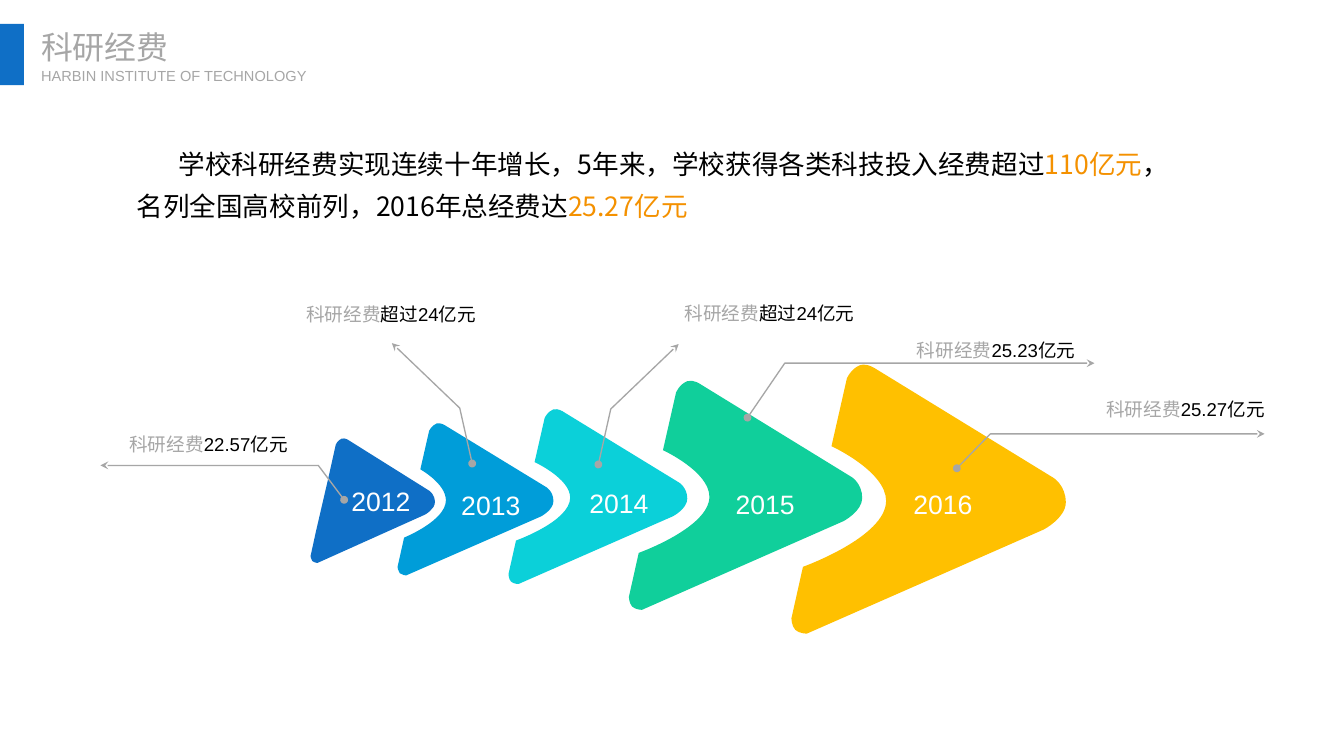
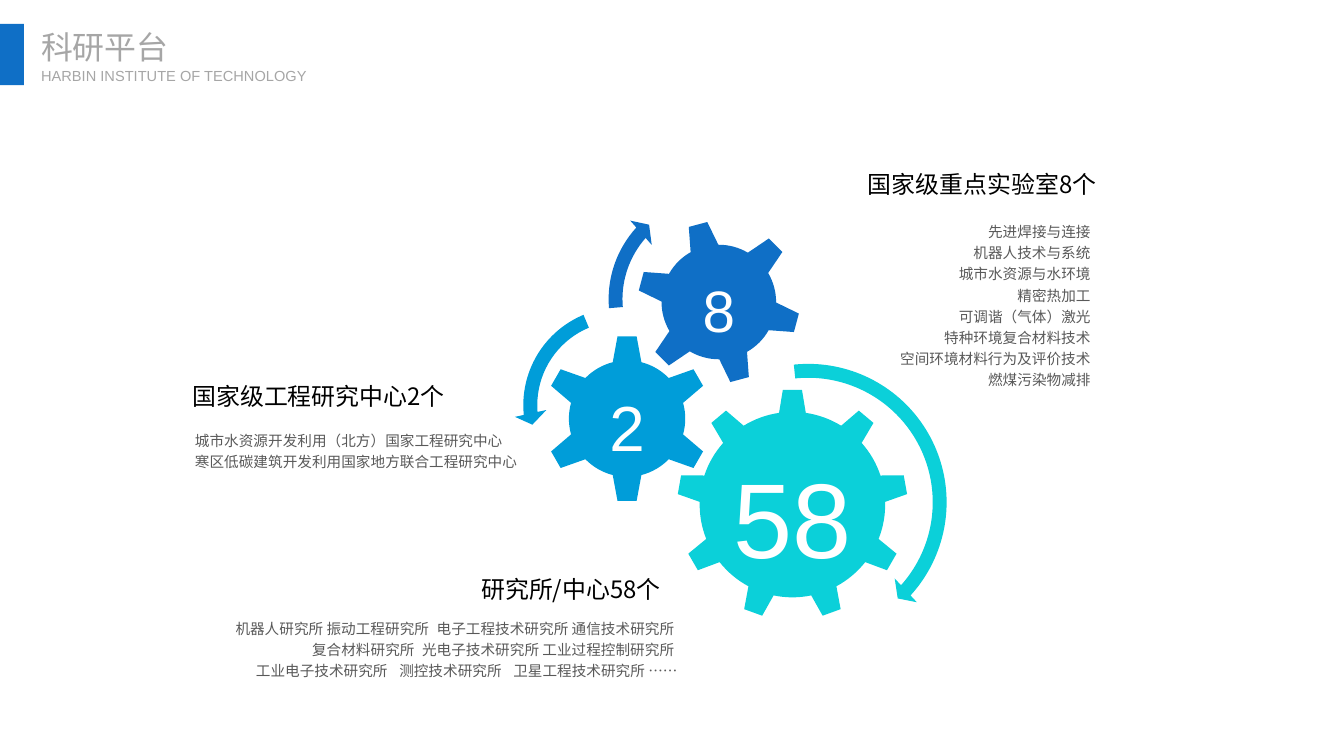
import math

import pptx
import pptx.dml.color
import pptx.enum.shapes
import pptx.enum.text
import pptx.oxml.ns
import pptx.util
from lxml import etree

Inches = pptx.util.Inches
Pt = pptx.util.Pt
qn = pptx.oxml.ns.qn
SHAPE = pptx.enum.shapes.MSO_SHAPE
ALIGN = pptx.enum.text.PP_ALIGN
ANCHOR = pptx.enum.text.MSO_ANCHOR

WIDTH, HEIGHT = 14.06, 7.91
SANS, CJK = "Arial", "Noto Sans CJK SC"
COLORS = {
    "blue": "0F6FC6", "sky": "009DD9", "cyan": "0BD0D9", "green": "10CF9B",
    "gold": "FFC000", "orange": "F49100", "gray": "A6A6A6",
    "body": "595959", "black": "000000", "white": "FFFFFF",
}
SUBTITLE = "HARBIN INSTITUTE OF TECHNOLOGY"

FUNDING_TITLE = "科研经费"
FUNDING_INTRO = [
    ("学校科研经费实现连续十年增长，5年来，学校获得各类科技投入经费超过", "black"),
    ("110亿元", "orange"),
    ("，名列全国高校前列，2016年总经费达", "black"),
    ("25.27亿元", "orange"),
]
# Each year: colour, chevron box, notch depth in percent, year position,
# amount, label's left, top and width, leader points from dot to arrow tip
FUNDING = [
    ("2012", "blue", (3.25, 4.58, 1.3, 1.31), 0, (3.46, 5.01), "22.57亿元",
     (0.92, 4.43, 2.09), [(3.6, 5.23), (3.33, 4.87), (1.05, 4.87)]),
    ("2013", "sky", (4.16, 4.42, 1.63, 1.6), 31, (4.61, 5.05), "超过24亿元",
     (2.87, 3.07, 2.11), [(4.94, 4.85), (4.81, 4.27), (4.1, 3.59)]),
    ("2014", "cyan", (5.32, 4.27, 1.87, 1.84), 34.5, (5.95, 5.03), "超过24亿元",
     (6.72, 3.06, 2.22), [(6.26, 4.86), (6.39, 4.28), (7.1, 3.6)]),
    ("2015", "green", (6.58, 3.97, 2.44, 2.41), 34.5, (7.48, 5.04), "25.23亿元",
     (9.14, 3.44, 2.11), [(7.82, 4.37), (8.21, 3.8), (11.45, 3.8)]),
    ("2016", "gold", (8.28, 3.8, 2.87, 2.83), 34.5, (9.34, 5.04), "25.27亿元",
     (11.02, 4.06, 2.21), [(10.01, 4.9), (10.36, 4.54), (13.23, 4.54)]),
]
# Chevron outline in percent of its box: a point is a straight side,
# three points are a curve's two handles and its end
TIP_AND_FOOT = [
    (100, 51.5),
    ((100, 57.2), (92, 61.5), (92, 61.5)),
    (5.6, 100),
    ((5.6, 100), (2.8, 100), (1.4, 98.6)),
    ((0, 97.2), (0, 94.3), (0, 94.3)),
    (4.2, 75.3),
]
TOP_SIDE = [
    (20.2, 5.7),
    ((20.2, 5.7), (21.6, 2.1), (25.1, 0.7)),
    ((27.9, 0), (30.7, 2.1), (30.7, 2.1)),
    (95.5, 42.4),
    ((95.5, 42.4), (100, 45.2), (100, 51.5)),
]

PLATFORM_TITLE = "科研平台"
# Each gear: number, size, colour, centre, teeth, first tooth's angle,
# tip (half width, radius) and base (half width, radius)
GEARS = [
    ("58", 80, "cyan", (8.29, 5.28), 9, 0, (0.1, 1.2), (0.14, 0.96)),
    ("2", 48, "sky", (6.56, 4.38), 6, 0, (0.1, 0.86), (0.15, 0.59)),
    ("8", 44, "blue", (7.52, 3.16), 6, -15, (0.1, 0.84), (0.15, 0.58)),
]
# Each arrow: preset, colour, left, top, size, thickness and head in percent,
# head / end / start angles in degrees
ARROWS = [
    (SHAPE.CIRCULAR_ARROW, "cyan", (6.91, 3.71, 3.09), (4.7, 5.5), (4.98, 42.09, 264.03)),
    (SHAPE.LEFT_CIRCULAR_ARROW, "sky", (5.38, 3.12, 2.24), (6.5, 7.5), (7.17, 174.82, 247.3)),
    (SHAPE.CIRCULAR_ARROW, "blue", (6.27, 1.92, 2.42), (6, 7), (6.57, 221.9, 175.14)),
]
# Each group: heading, its box and alignment, then lines, their box and alignment.
# A line is a list of (text, width of the gap after it in spaces)
PLATFORMS = [
    ("国家级重点实验室8个", (9.08, 1.77, 2.99, 0.3), ALIGN.LEFT,
     [[(name, 0)] for name in (
         "先进焊接与连接", "机器人技术与系统", "城市水资源与水环境", "精密热加工",
         "可调谐（气体）激光", "特种环境复合材料技术", "空间环境材料行为及评价技术",
         "燃煤污染物减排")], (8.3, 2.3, 3.11, 1.78), ALIGN.RIGHT),
    ("国家级工程研究中心2个", (1.63, 3.99, 3.02, 0.3), ALIGN.RIGHT,
     [[("城市水资源开发利用（北方）国家工程研究中心", 0)],
      [("寒区低碳建筑开发利用国家地方联合工程研究中心", 0)]],
     (2.04, 4.48, 4.37, 0.44), ALIGN.JUSTIFY),
    ("研究所/中心58个", (3.75, 6.01, 3.16, 0.3), ALIGN.RIGHT,
     [[("机器人研究所 振动工程研究所", 2), ("电子工程技术研究所 通信技术研究所", 1)],
      [("复合材料研究所", 2), ("光电子技术研究所 工业过程控制研究所", 3)],
      [("工业电子技术研究所", 3), ("测控技术研究所", 3), ("卫星工程技术研究所 ……", 0)]],
     (1.97, 6.45, 5.12, 0.67), ALIGN.RIGHT),
]
LIST_SIZE = 11
SPACE_WIDTH = 0.28 * LIST_SIZE


def rgb(name):
    return pptx.dml.color.RGBColor.from_string(COLORS[name])


def paint(shape, color):
    shape.shadow.inherit = False
    shape.fill.solid()
    shape.fill.fore_color.rgb = rgb(color)
    shape.line.fill.background()


def write(shape, paragraphs, size, font=SANS, align=ALIGN.LEFT, leading=1.0,
          anchor=ANCHOR.TOP, indent=0, inset=(0, 0), wrap=True):
    """Fill a shape with paragraphs of (text, colour[, letter spacing]) runs."""
    frame = shape.text_frame
    frame.word_wrap = wrap
    frame.vertical_anchor = anchor
    frame.margin_left = frame.margin_right = Inches(inset[0])
    frame.margin_top = frame.margin_bottom = Inches(inset[1])
    for index, spans in enumerate(paragraphs):
        para = frame.add_paragraph() if index else frame.paragraphs[0]
        para.alignment = align
        para.line_spacing = leading
        if indent:
            para._p.get_or_add_pPr().set("indent", str(Inches(indent)))
        for text, color, *spacing in spans:
            span = para.add_run()
            span.text = text
            span.font.size = Pt(size)
            span.font.name = font
            span.font.color.rgb = rgb(color)
            properties = span.font._element
            etree.SubElement(properties, qn("a:ea")).set("typeface", CJK)
            if spacing:
                properties.set("spc", str(round(spacing[0] * 100)))


def add_text(page, box, paragraphs, size, **style):
    shape = page.shapes.add_textbox(*map(Inches, box))
    write(shape, paragraphs, size, **style)


def is_curve(part):
    return isinstance(part[0], tuple)


def add_outline(page, parts, close=True):
    """Draw straight sides (points) and cubic curves (handle, handle, end)."""
    ends = [part[-1] if is_curve(part) else part for part in parts]
    emu = [(Inches(x), Inches(y)) for x, y in ends]
    builder = page.shapes.build_freeform(*emu[0], scale=1.0)
    builder.add_line_segments(emu[1:], close=close)
    shape = builder.convert_to_shape()
    sides = shape._element.findall(".//" + qn("a:lnTo"))
    for part, side in zip(parts[1:], sides):
        if is_curve(part):
            curve = etree.Element(qn("a:cubicBezTo"))
            for x, y in part:
                point = etree.SubElement(curve, qn("a:pt"))
                point.set("x", str(Inches(x) - shape.left))
                point.set("y", str(Inches(y) - shape.top))
            side.getparent().replace(side, curve)
    return shape


def add_chevron(page, box, color, depth):
    left, top, width, height = box

    def place(part):
        if is_curve(part):
            return tuple(map(place, part))
        return left + part[0] * width / 100, top + part[1] * height / 100

    notch = [(14.6, 30.7)]
    if depth:
        notch = [((4.2, 75.3), (depth, 64.3), (depth, 50.9)),
                 ((depth, 40), (14.6, 30.7), (14.6, 30.7))]
    outline = TIP_AND_FOOT + notch + TOP_SIDE
    paint(add_outline(page, list(map(place, outline))), color)


def add_leader(page, points):
    leader = add_outline(page, points, close=False)
    leader.shadow.inherit = False
    leader.fill.background()
    leader.line.color.rgb = rgb("gray")
    leader.line.width = Pt(1)
    line = leader.line._get_or_add_ln()
    for tag, kind in (("a:headEnd", "oval"), ("a:tailEnd", "stealth")):
        etree.SubElement(line, qn(tag)).set("type", kind)


def gear_outline(center, teeth, first_angle, tip, base):
    """Straight teeth joined by arcs of the root circle."""
    pitch = math.tau / teeth
    root, tip_radius = math.hypot(*base), math.hypot(*tip)
    base_angle, tip_angle = math.atan2(*base), math.atan2(*tip)
    gap = pitch - 2 * base_angle
    handle = 4 / 3 * math.tan(gap / 4) * root

    def polar(angle, radius, along=0):
        return (center[0] + radius * math.sin(angle) + along * math.cos(angle),
                center[1] - radius * math.cos(angle) + along * math.sin(angle))

    parts = [polar(math.radians(first_angle) - base_angle, root)]
    for tooth in range(teeth):
        middle = math.radians(first_angle) + tooth * pitch
        start = middle + base_angle
        parts += [polar(middle - tip_angle, tip_radius),
                  polar(middle + tip_angle, tip_radius),
                  polar(start, root),
                  (polar(start, root, handle), polar(start + gap, root, -handle),
                   polar(start + gap, root))]
    return parts


def add_page(deck, title):
    page = deck.slides.add_slide(deck.slide_layouts[6])
    band = page.shapes.add_shape(SHAPE.RECTANGLE, *map(Inches, (0, 0.25, 0.25, 0.64)))
    paint(band, "blue")
    add_text(page, (0.43, 0.29, 1.35, 0.4), [[(title, "gray")]], 24, font=CJK, wrap=False)
    add_text(page, (0.43, 0.7, 2.81, 0.19), [[(SUBTITLE, "gray")]], 11, wrap=False)
    return page


def build_funding(deck):
    page = add_page(deck, FUNDING_TITLE)
    for _, color, box, depth, *_ in FUNDING:
        add_chevron(page, box, color, depth)
    for *_, points in FUNDING:
        add_leader(page, points)
    add_text(page, (1.33, 1.4, 11.22, 0.98), [FUNDING_INTRO], 20, font=CJK,
             leading=1.3, indent=0.44, inset=(0.1, 0.05))
    for year, _, _, _, year_at, amount, label, _ in FUNDING:
        add_text(page, (*label, 0.39),
                 [[(FUNDING_TITLE, "gray"), (amount, "black")]], 14,
                 align=ALIGN.RIGHT, leading=1.2, anchor=ANCHOR.MIDDLE, inset=(0, 0.11))
        add_text(page, (*year_at, 1.05, 0.4), [[(year, "white")]], 20,
                 align=ALIGN.CENTER, leading=1.2)


def list_spans(line):
    spans = []
    for text, gap in line:
        spans.append((text, "body"))
        if gap:
            spans.append((" ", "body", (gap - 1) * SPACE_WIDTH))
    return spans


def build_platforms(deck):
    page = add_page(deck, PLATFORM_TITLE)
    for number, size, color, *geometry in GEARS:
        gear = add_outline(page, gear_outline(*geometry))
        paint(gear, color)
        write(gear, [[(number, "white")]], size, align=ALIGN.CENTER,
              leading=1.2, anchor=ANCHOR.MIDDLE)
    for preset, color, (left, top, size), (thickness, head), angles in ARROWS:
        arrow = page.shapes.add_shape(preset, *map(Inches, (left, top, size, size)))
        paint(arrow, color)
        # Angles are stored in 60000ths of a degree, adjustments in 100000ths
        values = [thickness / 100, *(angle * 0.6 for angle in angles), head / 100]
        for index, value in enumerate(values):
            arrow.adjustments[index] = value
    for heading, heading_box, heading_align, lines, box, align in PLATFORMS:
        add_text(page, heading_box, [[(heading, "black")]], 18, font=CJK,
                 align=heading_align)
        add_text(page, box, list(map(list_spans, lines)), LIST_SIZE,
                 align=align, leading=1.2)


def main():
    deck = pptx.Presentation()
    deck.slide_width, deck.slide_height = Inches(WIDTH), Inches(HEIGHT)
    build_funding(deck)
    build_platforms(deck)
    deck.save("out.pptx")


if __name__ == "__main__":
    main()
